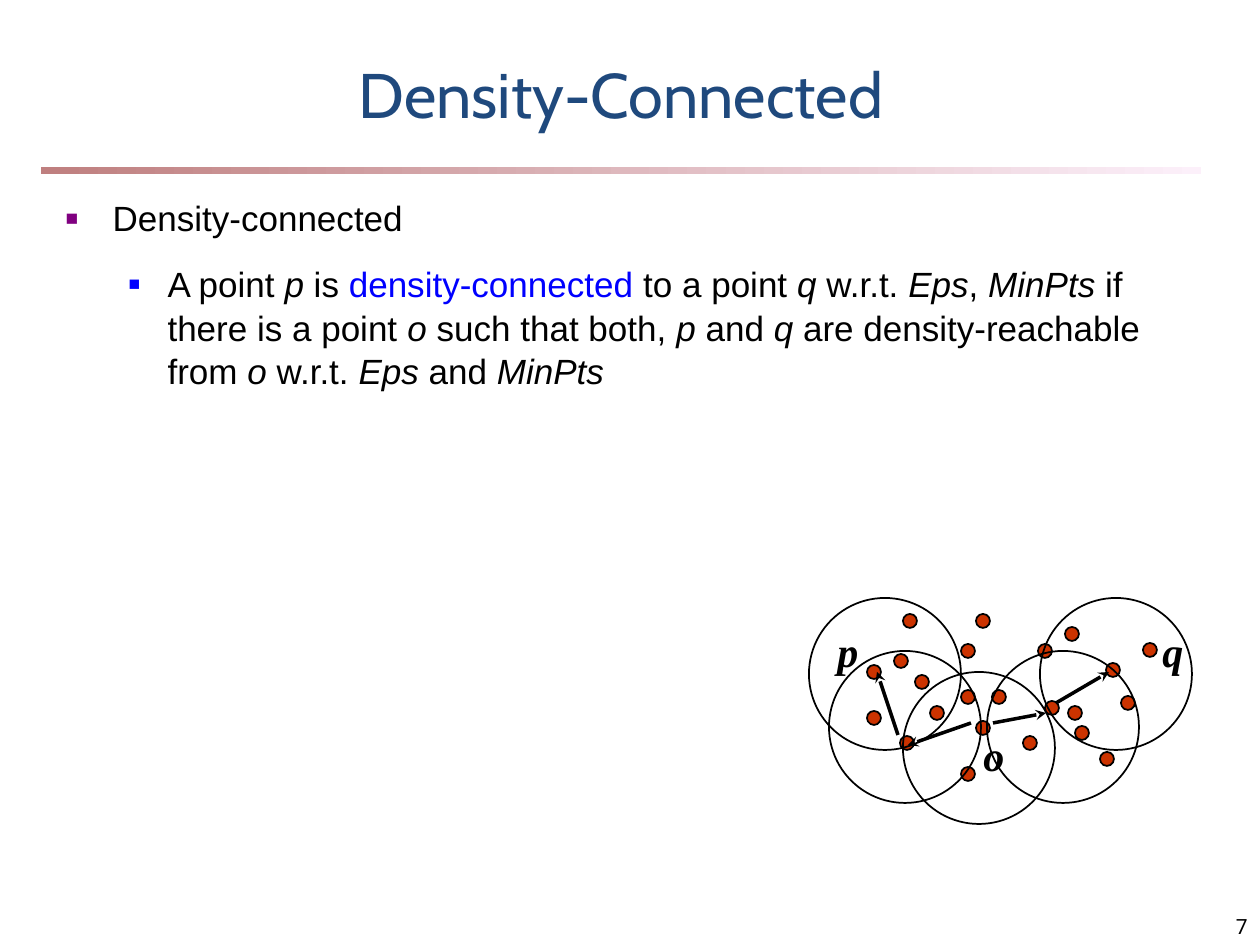
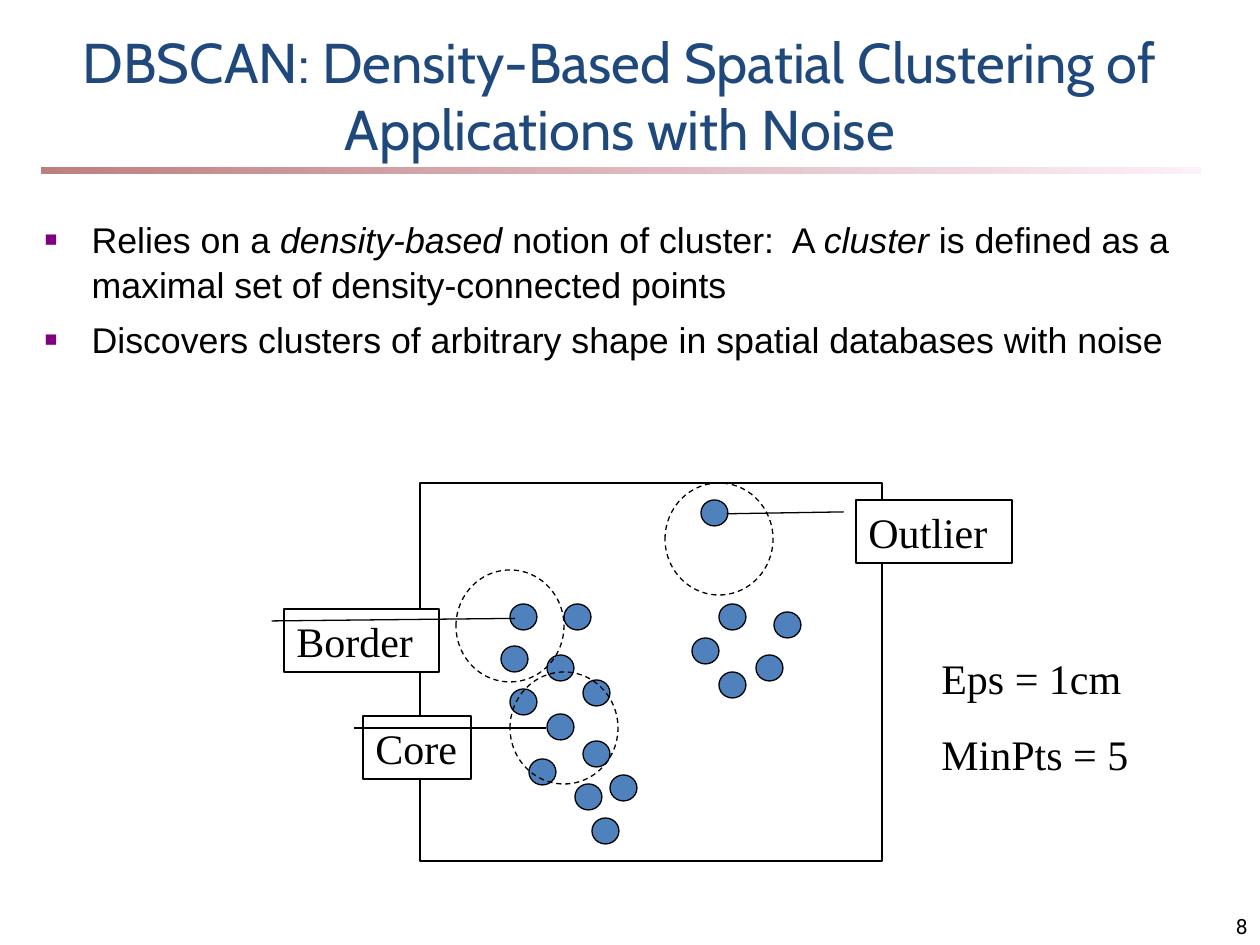
"""Build two slides on density-based clustering."""
from lxml.etree import SubElement
from pptx import Presentation
from pptx.dml.color import RGBColor
from pptx.enum.dml import MSO_LINE
from pptx.enum.shapes import MSO_CONNECTOR, MSO_SHAPE
from pptx.enum.text import MSO_ANCHOR, MSO_AUTO_SIZE, PP_ALIGN
from pptx.oxml.ns import qn
from pptx.util import Pt

EMU_PER_PX = 914400 / 126
COLORS = {
    "title": "1F497D", "text": "000000", "term": "0000FF", "white": "FFFFFF",
    "band_light": "FCF0FA", "band_dark": "BF7F7F",
    "red_dot": "CC3300", "blue_dot": "4F81BD",
}
BULLETS = [
    {"color": "800080", "percent": 60, "margin": 47, "hanging": 47},
    {"color": "0000FF", "percent": 55, "margin": 102, "hanging": 39},
]
DEFINITION = [
    (0, [("Density-connected", "")]),
    (1, [("A point ", ""), ("p", "italic"), (" is ", ""), ("density-connected", "term"),
         (" to a point ", ""), ("q", "italic"), (" w.r.t. ", ""), ("Eps", "italic"),
         (", ", ""), ("MinPts", "italic"), (" if there is a point ", ""), ("o ", "italic"),
         ("such that both, ", ""), ("p", "italic"), (" and ", ""), ("q", "italic"),
         (" are density-reachable from ", ""), ("o", "italic"), (" w.r.t. ", ""),
         ("Eps", "italic"), (" and ", ""), ("MinPts", "italic")]),
]
PROPERTIES = [
    (0, [("Relies on a ", ""), ("density-based", "italic"), (" notion of cluster:  A ", ""),
         ("cluster", "italic"),
         (" is defined as a maximal set of density-connected points", "")]),
    (0, [("Discovers clusters of arbitrary shape in spatial databases with noise", "")]),
]
CHAIN_POINTS = [
    (915, 675), (961, 690), (961, 644), (900, 736), (930, 706), (961, 767),
    (976, 721), (976, 614), (1068, 706), (1038, 644), (867, 711), (992, 690),
    (1023, 736), (1100, 752), (1121, 696), (1045, 701), (1075, 726), (1143, 643),
    (1065, 627), (1106, 663), (894, 654), (867, 665), (903, 614),
]
CHAIN_CIRCLES = [(829, 651), (903, 672), (987, 651), (1040, 598), (809, 598)]
CHAIN_ARROWS = [
    (971, 723, 908, 745), (993, 723, 1046, 713),
    (898, 735, 877, 672), (1056, 703, 1109, 672),
]
CHAIN_LABELS = [("p", 825, 619), ("q", 1150, 619), ("o", 971, 723)]
CLUSTER_POINTS = [
    (510, 604), (501, 646), (547, 655), (564, 604), (583, 680), (510, 689),
    (547, 714), (529, 759), (575, 784), (592, 818), (583, 741), (610, 775),
    (701, 500), (719, 604), (692, 638), (756, 655), (774, 612), (719, 672),
]
NEIGHBOURHOODS = [(456, 570), (510, 672), (665, 483)]
CALLOUTS = [
    ("Core", (363, 716, 108, 63), 0.19, 1.69),
    ("Border", (284, 609, 155, 63), 0.15, 1.49),
    ("Outlier", (856, 500, 156, 63), 0.22, -0.83),
]


def px(length):
    """Turn pixels into EMU."""
    return round(length * EMU_PER_PX)


def rgb(name):
    """Look up a named colour."""
    return RGBColor.from_string(COLORS[name])


def place(item, area):
    """Move and size a shape."""
    item.left, item.top, item.width, item.height = map(px, area)


def add_span(para, text, size, face, color="text", bold=False, italic=False):
    """Append one formatted run to a paragraph."""
    span = para.add_run()
    span.text = text
    font = span.font
    font.size, font.name, font.bold, font.italic = Pt(size), face, bold, italic
    font.color.rgb = rgb(color)


def set_paragraphs(box, lines, size, face, align=PP_ALIGN.LEFT, gap=0, **style):
    """Write plain lines into a shape, with a gap between them."""
    frame = box.text_frame
    frame.word_wrap = True
    for index, line in enumerate(lines):
        para = frame.add_paragraph() if index else frame.paragraphs[0]
        para.alignment = align
        para.space_before = Pt(gap if index else 0)
        add_span(para, line, size, face, **style)


def add_label(page, area, lines, size, face, anchor=MSO_ANCHOR.TOP, **style):
    """Add a text box holding plain lines."""
    box = page.shapes.add_textbox(*map(px, area))
    box.text_frame.vertical_anchor = anchor
    set_paragraphs(box, lines, size, face, **style)


def add_outlined(page, kind, area, weight, fill=None, dash=None):
    """Add a black-outlined preset shape, filled or hollow."""
    shape = page.shapes.add_shape(kind, *map(px, area))
    shape.shadow.inherit = False
    if fill:
        shape.fill.solid()
        shape.fill.fore_color.rgb = rgb(fill)
    else:
        shape.fill.background()
    shape.line.color.rgb = rgb("text")
    shape.line.width = Pt(weight)
    if dash:
        shape.line.dash_style = dash
    return shape


def add_ovals(page, corners, width, height, weight, **look):
    """Add equal ovals at the given top-left corners."""
    for left, top in corners:
        add_outlined(page, MSO_SHAPE.OVAL, (left, top, width, height), weight, **look)


def add_arrow(page, ends):
    """Add a black arrow with a stealth head at its end."""
    arrow = page.shapes.add_connector(MSO_CONNECTOR.STRAIGHT, *map(px, ends))
    arrow.line.color.rgb = rgb("text")
    arrow.line.width = Pt(2)
    SubElement(arrow.line._get_or_add_ln(), qn("a:tailEnd"), type="stealth")
    SubElement(arrow._element.spPr, qn("a:effectLst"))


def add_callout(page, text, area, target_y, target_x):
    """Add a boxed label with a leader line to its target."""
    callout = add_outlined(page, MSO_SHAPE.LINE_CALLOUT_1, area, 0.75, fill="white")
    for index, value in enumerate((0.19, -0.08, target_y, target_x)):
        callout.adjustments[index] = value
    callout.text_frame.vertical_anchor = MSO_ANCHOR.TOP
    set_paragraphs(callout, [text], 24, "Times New Roman")


def set_bullet(para, level):
    """Give a paragraph the square bullet and indent of its level."""
    bullet = BULLETS[level]
    para.level = level
    props = para._p.get_or_add_pPr()
    props.set("marL", str(px(bullet["margin"])))
    props.set("indent", str(-px(bullet["hanging"])))
    color = SubElement(props, qn("a:buClr"))
    SubElement(color, qn("a:srgbClr"), val=bullet["color"])
    SubElement(props, qn("a:buSzPct"), val=str(bullet["percent"] * 1000))
    SubElement(props, qn("a:buFont"), typeface="Arial")
    SubElement(props, qn("a:buChar"), char="■")


def fill_body(page, area, items, size, gap):
    """Fill the body placeholder with bulleted, mixed-style paragraphs."""
    body = page.placeholders[1]
    place(body, area)
    frame = body.text_frame
    frame.auto_size = MSO_AUTO_SIZE.NONE
    for index, (level, spans) in enumerate(items):
        para = frame.add_paragraph() if index else frame.paragraphs[0]
        set_bullet(para, level)
        para.line_spacing = 1.04
        para.space_before = Pt(gap if index else 0)
        for text, style in spans:
            color = "term" if style == "term" else "text"
            add_span(para, text, size, "Arial", color, italic=style == "italic")


def add_band(page):
    """Add the fading rule under the title."""
    band = page.shapes.add_shape(MSO_SHAPE.RECTANGLE, *map(px, (41, 167, 1160, 7)))
    band.shadow.inherit = False
    band.line.fill.background()
    band.fill.gradient()
    band.fill.gradient_angle = 180
    for stop, name in zip(band.fill.gradient_stops, ("band_light", "band_dark")):
        stop.color.rgb = rgb(name)
    for position, stop in enumerate(band.fill.gradient_stops):
        stop.position = position


def add_page(deck, title, title_area, title_size, number):
    """Start a slide with its band, title and page number."""
    page = deck.slides.add_slide(deck.slide_layouts[1])
    add_band(page)
    heading = page.shapes.title
    place(heading, title_area)
    heading.text_frame.auto_size = MSO_AUTO_SIZE.NONE
    heading.text_frame.vertical_anchor = MSO_ANCHOR.BOTTOM
    set_paragraphs(heading, [title], title_size, "Cabin", PP_ALIGN.CENTER, color="title")
    add_label(page, (998, 892, 262, 53), [str(number)], 12, "Roboto",
              MSO_ANCHOR.BOTTOM, align=PP_ALIGN.RIGHT)
    return page


def add_connected_page(deck):
    """Build the slide that defines density-connected points."""
    page = add_page(deck, "Density-Connected", (84, 53, 1074, 84), 36, 7)
    fill_body(page, (53, 189, 1155, 703), DEFINITION, 20, 12.5)
    add_ovals(page, CHAIN_POINTS, 14, 14, 1, fill="red_dot")
    add_ovals(page, CHAIN_CIRCLES, 152, 152, 1)
    for ends in CHAIN_ARROWS:
        add_arrow(page, ends)
    for text, left, top in CHAIN_LABELS:
        add_label(page, (left, top, 53, 63), [text], 24, "Times New Roman",
                  bold=True, italic=True)


def add_dbscan_page(deck):
    """Build the slide that introduces DBSCAN."""
    title = "DBSCAN: Density-Based Spatial Clustering of Applications with Noise"
    page = add_page(deck, title, (32, 32, 1176, 136), 32, 8)
    fill_body(page, (32, 210, 1176, 199), PROPERTIES, 20.4, 6)
    add_ovals(page, CLUSTER_POINTS, 27, 26, 0.75, fill="blue_dot")
    add_outlined(page, MSO_SHAPE.RECTANGLE, (420, 483, 462, 378), 0.75)
    add_ovals(page, NEIGHBOURHOODS, 108, 112, 0.75, dash=MSO_LINE.DASH)
    for callout in CALLOUTS:
        add_callout(page, *callout)
    add_label(page, (929, 646, 227, 140), ["Eps = 1cm", "MinPts = 5"], 24,
              "Times New Roman", gap=15)


def main():
    """Build and save the deck."""
    deck = Presentation()
    deck.slide_width, deck.slide_height = px(1260), px(945)
    add_connected_page(deck)
    add_dbscan_page(deck)
    deck.save("out.pptx")


if __name__ == "__main__":
    main()
